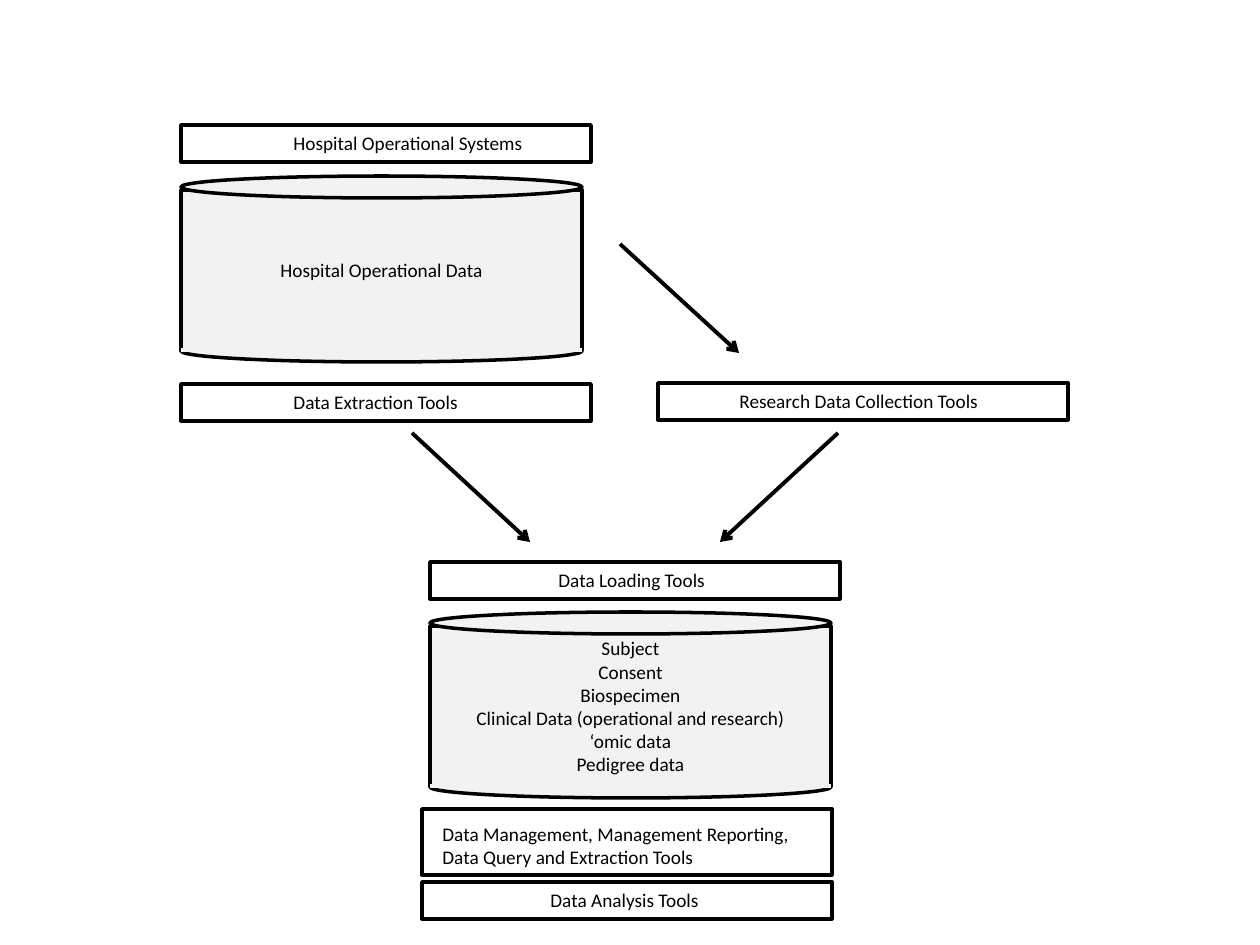
from lxml import etree
from pptx import Presentation
from pptx.dml.color import RGBColor
from pptx.enum.shapes import MSO_CONNECTOR as CONNECTOR, MSO_SHAPE as SHAPE
from pptx.enum.text import MSO_ANCHOR as ANCHOR, MSO_AUTO_SIZE as AUTO_SIZE, PP_ALIGN as ALIGN
from pptx.oxml.ns import qn
from pptx.util import Pt

PIXEL = 914400 / 126
COLORS = {"ink": "000000", "store": "F2F2F2"}
FONT, TEXT_SIZE = "Calibri", 11

presentation = Presentation()
presentation.slide_width = round(1260 * PIXEL)
presentation.slide_height = round(945 * PIXEL)
slide = presentation.slides.add_slide(presentation.slide_layouts[6])
shapes = slide.shapes


def add_outlined(kind, left, top, width, height, fill=None):
    shape = shapes.add_shape(kind, *(round(v * PIXEL) for v in (left, top, width, height)))
    shape.shadow.inherit = False
    if fill:
        shape.fill.solid()
        shape.fill.fore_color.rgb = RGBColor.from_string(COLORS[fill])
    else:
        shape.fill.background()
    shape.line.color.rgb = RGBColor.from_string(COLORS["ink"])
    shape.line.width = Pt(2)
    return shape


def add_line(start_x, start_y, end_x, end_y, color):
    points = (round(v * PIXEL) for v in (start_x, start_y, end_x, end_y))
    line = shapes.add_connector(CONNECTOR.STRAIGHT, *points)
    line.line.color.rgb = RGBColor.from_string(COLORS[color])
    line.line.width = Pt(2.25)
    etree.SubElement(line._element.spPr, qn("a:effectLst"))
    return line


text_frames = []

# Data stores: bottom rim, body, top rim, and a line hiding the body's lower edge
STORE_WIDTH, RIM_HEIGHT, BODY_HEIGHT = 401, 22, 160
stores = [
    (430, 612, "Subject\nConsent\nBiospecimen\nClinical Data (operational and research)\n"
               "‘omic data\nPedigree data"),
    (181, 176, "Hospital Operational Data"),
]
for left, top, content in stores:
    body_top = top + 14
    body_bottom = body_top + BODY_HEIGHT
    add_outlined(SHAPE.OVAL, left, body_bottom - 10, STORE_WIDTH, RIM_HEIGHT, "store")
    body = add_outlined(SHAPE.RECTANGLE, left, body_top, STORE_WIDTH, BODY_HEIGHT, "store")
    add_outlined(SHAPE.OVAL, left, top, STORE_WIDTH, RIM_HEIGHT, "store")
    add_line(left, body_bottom, left + STORE_WIDTH, body_bottom, "store")
    body.text_frame.text = content
    body.text_frame.vertical_anchor = ANCHOR.MIDDLE
    for paragraph in body.text_frame.paragraphs:
        paragraph.alignment = ALIGN.CENTER
    text_frames.append(body.text_frame)

# Tool boxes: left, top, height, then the label's left, top, width, height
BOX_WIDTH = 410
tools = [
    ("Data Management, Management Reporting, Data Query and Extraction Tools",
     422, 809, 66, 430, 816, 386, 59),
    ("Data Analysis Tools", 422, 882, 37, 538, 882, 178, 37),
    ("Data Loading Tools", 430, 562, 37, 546, 562, 178, 37),
    ("Hospital Operational Systems", 181, 125, 37, 281, 125, 287, 37),
    ("Data Extraction Tools", 181, 384, 37, 281, 384, 208, 37),
    ("Research Data Collection Tools", 658, 383, 37, 727, 383, 307, 37),
]
for content, left, top, height, *label_place in tools:
    add_outlined(SHAPE.RECTANGLE, left, top, BOX_WIDTH, height)
    label = shapes.add_textbox(*(round(v * PIXEL) for v in label_place))
    label.text_frame.word_wrap = True
    label.text_frame.auto_size = AUTO_SIZE.SHAPE_TO_FIT_TEXT
    label.text_frame.text = content
    text_frames.append(label.text_frame)

# Flow arrows
for points in [(412, 433, 530, 542), (838, 433, 720, 542), (620, 244, 739, 353)]:
    arrow = add_line(*points, "ink")
    etree.SubElement(arrow.line._get_or_add_ln(), qn("a:tailEnd"), type="arrow")

# Text format
for text_frame in text_frames:
    for paragraph in text_frame.paragraphs:
        for run in paragraph.runs:
            run.font.name = FONT
            run.font.size = Pt(TEXT_SIZE)
            run.font.color.rgb = RGBColor.from_string(COLORS["ink"])

presentation.save("out.pptx")
